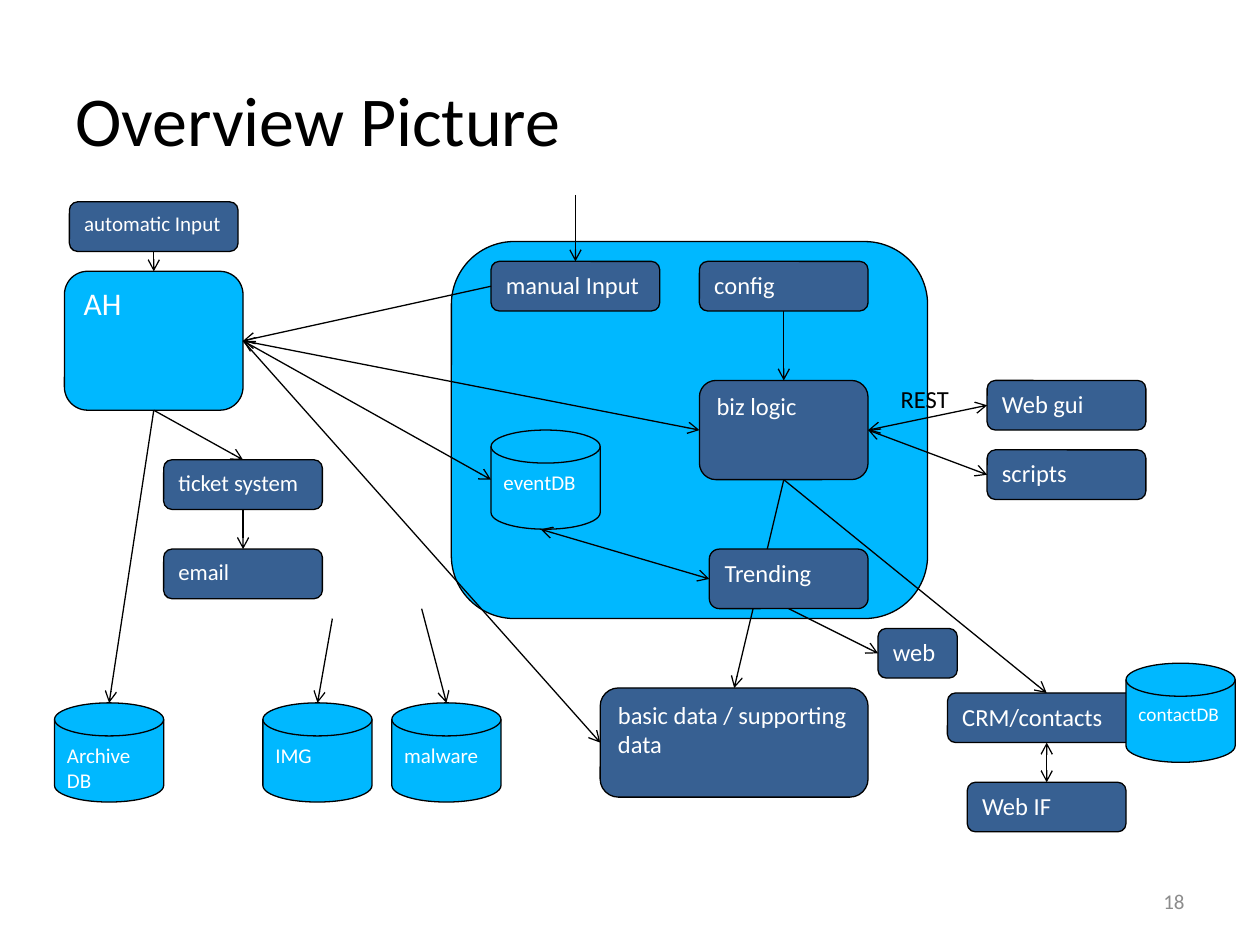
"""Build the overview slide: a system map of boxes, data stores and arrows."""
from dataclasses import dataclass

from lxml.etree import SubElement
from pptx import Presentation
from pptx.dml.color import RGBColor
from pptx.enum.shapes import MSO_CONNECTOR, MSO_SHAPE
from pptx.enum.text import MSO_ANCHOR, PP_ALIGN
from pptx.oxml.ns import qn
from pptx.util import Cm, Inches, Pt


@dataclass(frozen=True)
class Theme:
    font: str = "Calibri"
    ink: RGBColor = RGBColor(0x00, 0x00, 0x00)
    paper: RGBColor = RGBColor(0xFF, 0xFF, 0xFF)
    grey: RGBColor = RGBColor(0x8C, 0x8C, 0x8C)
    sky: RGBColor = RGBColor(0x00, 0xB8, 0xFF)
    navy: RGBColor = RGBColor(0x37, 0x60, 0x92)
    line: float = 0.75
    title: int = 40
    large: int = 18
    body: int = 14
    medium: int = 13
    small: int = 12
    tiny: int = 11


T = Theme()
CELL, TOP_GAP = Cm(0.1), Cm(0.07)
TOP, LEFT, BOTTOM, RIGHT = range(4)
ROUND, DISK = MSO_SHAPE.ROUNDED_RECTANGLE, MSO_SHAPE.FLOWCHART_MAGNETIC_DISK

prs = Presentation()
prs.slide_width, prs.slide_height = Inches(10), Inches(7.5)
W, H = prs.slide_width, prs.slide_height
s = prs.slides.add_slide(prs.slide_layouts[6])
nodes = {}


def write(sp, text, size, color, anchor=MSO_ANCHOR.TOP, align=PP_ALIGN.LEFT):
    tf = sp.text_frame
    tf.word_wrap = True
    tf.vertical_anchor = anchor
    p = tf.paragraphs[0]
    p.alignment = align
    r = p.add_run()
    r.text = text
    r.font.name, r.font.size, r.font.color.rgb = T.font, Pt(size), color


def link(start, end, heads):
    points = [(0, 0) if isinstance(e[0], str) else (int(e[0] * CELL), int(TOP_GAP + e[1] * CELL))
              for e in (start, end)]
    c = s.shapes.add_connector(MSO_CONNECTOR.STRAIGHT, *points[0], *points[1])
    for join, e in ((c.begin_connect, start), (c.end_connect, end)):
        if isinstance(e[0], str):
            join(nodes[e[0]], e[1])
    c.line.color.rgb, c.line.width = T.ink, Pt(T.line)
    ln = c.element.spPr.find(qn("a:ln"))
    for head in heads:
        SubElement(ln, qn(f"a:{head}End"), type="arrow")
    SubElement(c.element.spPr, qn("a:effectLst"))


ONE, BOTH = ("tail",), ("head", "tail")

base_boxes = [
    ("", ROUND, 91, 48, 96, 76, T.sky, T.body),
    ("AH", ROUND, 13, 54, 36, 28, T.sky, T.large),
    ("manual Input", ROUND, 99, 52, 34, 10, T.navy, T.body),
    ("config", ROUND, 141, 52, 34, 10, T.navy, T.body),
    ("biz logic", ROUND, 141, 76, 34, 20, T.navy, T.body),
    ("Web gui", ROUND, 199, 76, 32, 10, T.navy, T.body),
    ("scripts", ROUND, 199, 90, 32, 10, T.navy, T.body),
    ("web", ROUND, 177, 126, 16, 10, T.navy, T.body),
    ("basic data / supporting data", ROUND, 121, 138, 54, 22, T.navy, T.body),
    ("CRM/contacts", ROUND, 191, 139, 40, 10, T.navy, T.body),
    ("Web IF", ROUND, 195, 157, 32, 10, T.navy, T.body),
    ("malware", DISK, 79, 141, 22, 20, T.sky, T.small),
    ("IMG", DISK, 53, 141, 22, 20, T.sky, T.small),
    ("contactDB", DISK, 227, 133, 22, 20, T.sky, T.tiny),
    ("ticket system", ROUND, 33, 92, 32, 10, T.navy, T.medium),
    ("email", ROUND, 33, 110, 32, 10, T.navy, T.medium),
    ("Archive DB", DISK, 11, 141, 22, 20, T.sky, T.small),
    ("automatic Input", ROUND, 14, 40, 34, 10, T.navy, T.small),
    ("eventDB", DISK, 99, 86, 22, 20, T.sky, T.small),
]
base_links = [
    (("biz logic", BOTTOM), ("CRM/contacts", TOP), ONE),
    (("biz logic", BOTTOM), ("basic data / supporting data", TOP), ONE),
]
front_boxes = [("Trending", ROUND, 143, 110, 32, 12, T.navy, T.body)]
front_links = [
    (("automatic Input", BOTTOM), ("AH", TOP), ONE),
    ((116, 38.6), ("manual Input", TOP), ONE),
    (("config", BOTTOM), ("biz logic", TOP), ONE),
    (("manual Input", LEFT), ("AH", RIGHT), ONE),
    ((109, 106), ("Trending", LEFT), BOTH),
    (("biz logic", RIGHT), ("Web gui", LEFT), BOTH),
    (("biz logic", RIGHT), ("scripts", LEFT), BOTH),
    (("Trending", BOTTOM), ("web", LEFT), ONE),
    (("CRM/contacts", BOTTOM), ("Web IF", TOP), BOTH),
    ((67, 124), (64, 141), ONE),
    ((85, 122), (90, 141), ONE),
    (("AH", BOTTOM), (22, 141), ONE),
    (("AH", BOTTOM), ("ticket system", TOP), ONE),
    (("AH", RIGHT), ("biz logic", LEFT), BOTH),
    (("AH", RIGHT), (99, 96), BOTH),
    (("ticket system", BOTTOM), ("email", TOP), ONE),
    (("AH", RIGHT), ("basic data / supporting data", LEFT), ONE),
]

for boxes, links in ((base_boxes, base_links), (front_boxes, front_links)):
    for text, kind, col, row, cols, rows, fill, size in boxes:
        sp = s.shapes.add_shape(kind, col * CELL, TOP_GAP + row * CELL, cols * CELL, rows * CELL)
        sp.shadow.inherit = False
        sp.fill.solid()
        sp.fill.fore_color.rgb = fill
        sp.line.color.rgb, sp.line.width = T.ink, Pt(T.line)
        if text:
            write(sp, text, size, T.paper)
            nodes[text] = sp
    for start, end, heads in links:
        link(start, end, heads)

labels = [
    ("Overview Picture", 0.05, 0.04, 0.9, 0.17, T.title, T.ink, MSO_ANCHOR.MIDDLE, PP_ALIGN.LEFT),
    ("REST", 0.705, 0.4, 0.07, 0.05, T.body, T.ink, MSO_ANCHOR.TOP, PP_ALIGN.LEFT),
    ("18", 0.717, 0.927, 0.233, 0.053, T.small, T.grey, MSO_ANCHOR.MIDDLE, PP_ALIGN.RIGHT),
]
for text, x, y, w, h, size, color, anchor, align in labels:
    sp = s.shapes.add_textbox(int(x * W), int(y * H), int(w * W), int(h * H))
    write(sp, text, size, color, anchor, align)

prs.save("out.pptx")
